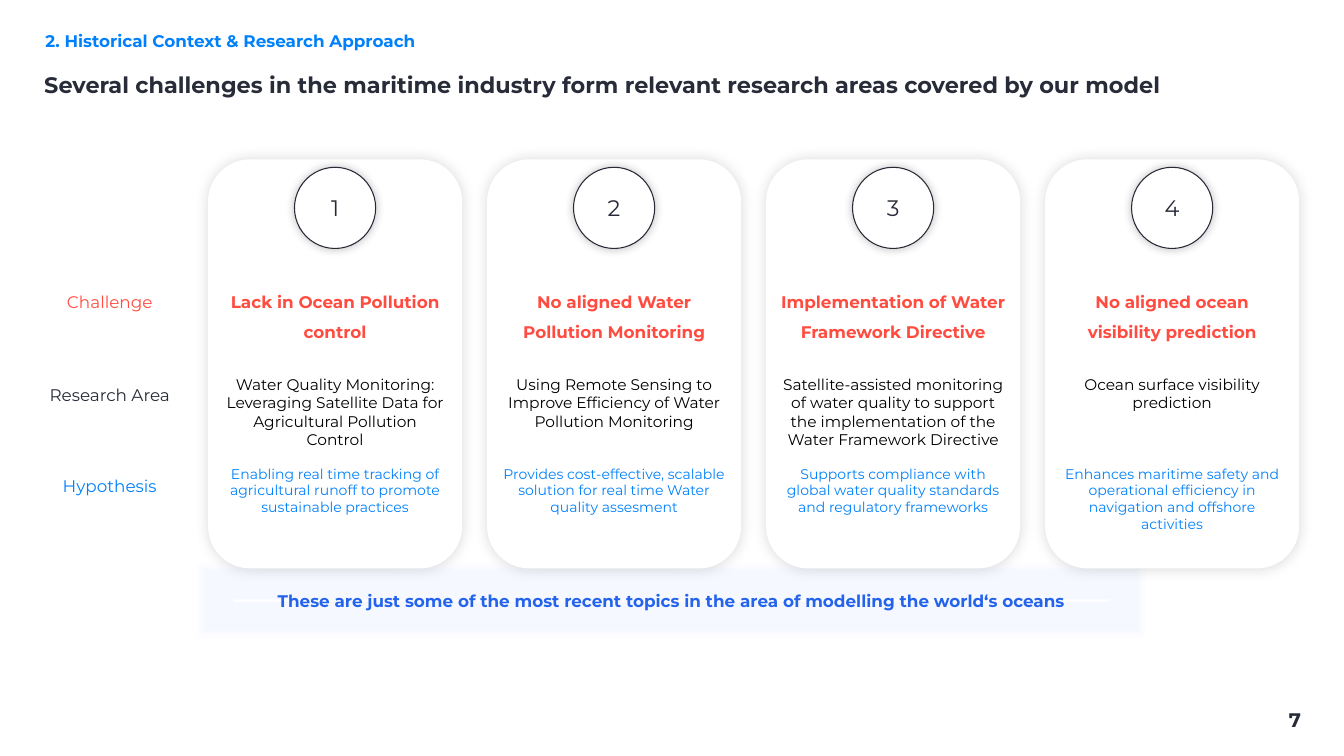
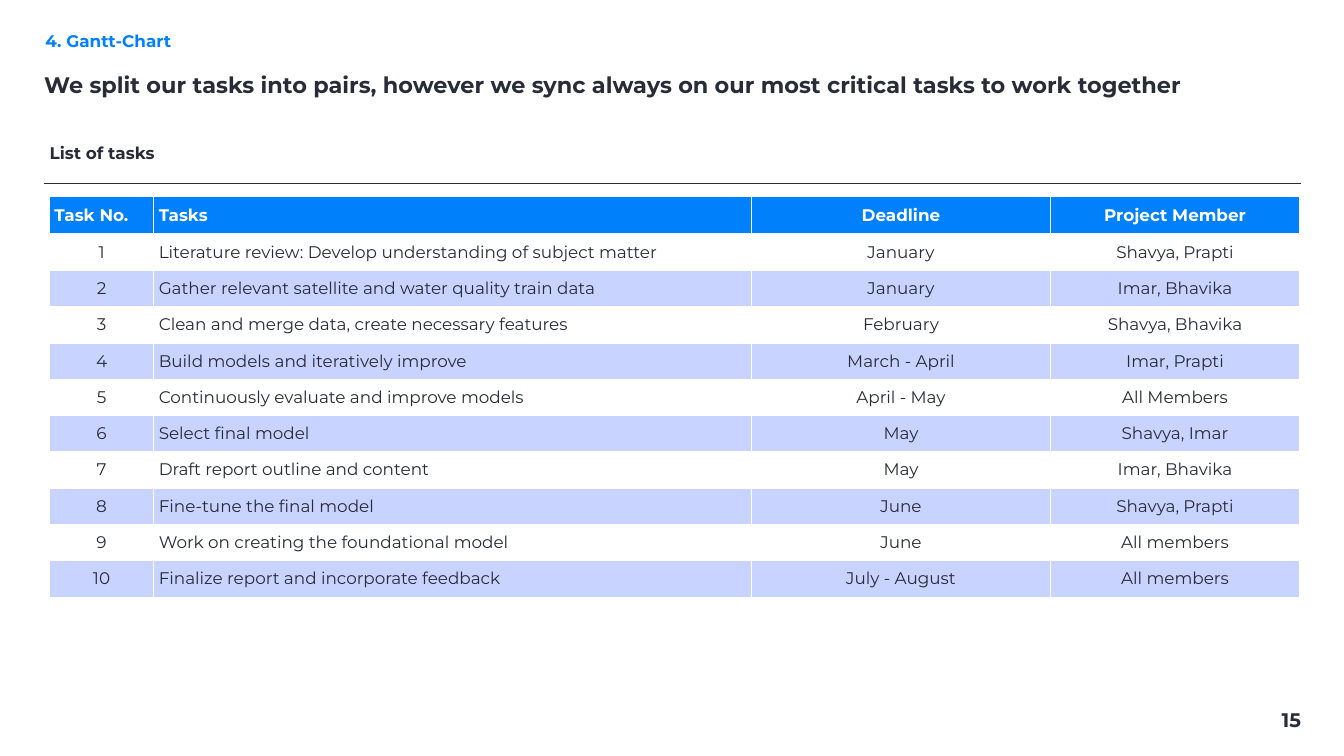
import pptx
import pptx.dml.color
import pptx.enum.shapes
import pptx.enum.text
import pptx.oxml
import pptx.oxml.ns
import pptx.util

Pt = pptx.util.Pt
Align = pptx.enum.text.PP_ALIGN
Anchor = pptx.enum.text.MSO_ANCHOR
AutoSize = pptx.enum.text.MSO_AUTO_SIZE
Shape = pptx.enum.shapes.MSO_SHAPE
qn = pptx.oxml.ns.qn

FONT = "Montserrat"
LINE_HEIGHT = 1.22
COLORS = {
    "title": "282C38",
    "ink": "282B37",
    "rule": "272A36",
    "black": "000000",
    "white": "FFFFFF",
    "blue": "0081FB",
    "red": "FF4C41",
    "banner_text": "2463EC",
    "banner": "F5F8FF",
    "stripe": "C8D4FF",
}
ROW_OFFSETS = {"Challenge": 174.5, "Research Area": 308, "Hypothesis": 437}
ROW_COLORS = {"Challenge": "red", "Research Area": "ink", "Hypothesis": "blue"}

CARDS = [
    {
        "challenge": "Lack in Ocean Pollution control",
        "area": ("Water Quality Monitoring: Leveraging Satellite Data for Agricultural Pollution Control", 4),
        "hypothesis": ("Enabling real time tracking of agricultural runoff to promote sustainable practices", 4),
        "inset": 23,
    },
    {
        "challenge": "No aligned Water Pollution Monitoring",
        "area": ("Using Remote Sensing to Improve Efficiency of Water Pollution Monitoring", 3),
        "hypothesis": ("Provides cost-effective, scalable solution for real time Water quality assesment", 3),
        "inset": 23,
    },
    {
        "challenge": "Implementation of Water Framework Directive",
        "area": ("Satellite-assisted monitoring of water quality to support the implementation of the "
                 "Water Framework Directive", 4),
        "hypothesis": ("Supports compliance with global water quality standards and regulatory frameworks", 3),
        "inset": 0,
    },
    {
        "challenge": "No aligned ocean visibility prediction",
        "area": ("Ocean surface visibility prediction", 2),
        "hypothesis": ("Enhances maritime safety and operational efficiency in navigation and offshore activities", 4),
        "inset": 23,
    },
]

TASK_HEADER = ("Task No.", "Tasks", "Deadline", "Project Member")
TASKS = [
    ("Literature review: Develop understanding of subject matter", "January", "Shavya, Prapti"),
    ("Gather relevant satellite and water quality train data", "January", "Imar, Bhavika"),
    ("Clean and merge data, create necessary features", "February", "Shavya, Bhavika"),
    ("Build models and iteratively improve", "March - April", "Imar, Prapti"),
    ("Continuously evaluate and improve models", "April - May", "All Members"),
    ("Select final model", "May", "Shavya, Imar"),
    ("Draft report outline and content", "May", "Imar, Bhavika"),
    ("Fine-tune the final model", "June", "Shavya, Prapti"),
    ("Work on creating the foundational model", "June", "All members"),
    ("Finalize report and incorporate feedback", "July - August", "All members"),
]


def rgb(name):
    return pptx.dml.color.RGBColor.from_string(COLORS[name])


def make_element(xml):
    return pptx.oxml.parse_xml(xml.replace(" ", f" {pptx.oxml.ns.nsdecls('a')} ", 1))


def write_text(frame, text, size=24, color="ink", bold=False, align=Align.LEFT, spacing=None):
    paragraph = frame.paragraphs[0]
    paragraph.alignment = align
    if spacing:
        paragraph.line_spacing = spacing
    run = paragraph.add_run()
    run.text = text
    run.font.name = FONT
    run.font.size = Pt(size)
    run.font.bold = bold
    run.font.color.rgb = rgb(color)


def format_frame(frame, margins=(7.2, 3.6), anchor=Anchor.TOP, grow=False):
    frame.word_wrap = True
    frame.auto_size = AutoSize.SHAPE_TO_FIT_TEXT if grow else AutoSize.NONE
    frame.vertical_anchor = anchor
    frame.margin_left = frame.margin_right = Pt(margins[0])
    frame.margin_top = frame.margin_bottom = Pt(margins[1])


def add_text(shapes, box, text, margins=(7.2, 3.6), anchor=Anchor.TOP, grow=False, **text_format):
    text_box = shapes.add_textbox(*map(Pt, box))
    format_frame(text_box.text_frame, margins, anchor, grow)
    write_text(text_box.text_frame, text, **text_format)
    return text_box


def add_label(shapes, box, text, **text_format):
    add_text(shapes, box, text, margins=(0, 0), grow=True, align=Align.CENTER, **text_format)


def add_glowing_shape(shapes, kind, box, opacity, blur, line=None):
    shape = shapes.add_shape(kind, *map(Pt, box))
    shape.fill.solid()
    shape.fill.fore_color.rgb = rgb("white")
    if line:
        shape.line.color.rgb = rgb(line)
        shape.line.width = Pt(1.5)
    else:
        shape.line.fill.background()
    shape.shadow.inherit = False
    shape._element.spPr.find(qn("a:effectLst")).append(make_element(
        f'<a:outerShdw blurRad="{Pt(blur)}" dist="0" dir="0" algn="ctr" rotWithShape="0">'
        f'<a:srgbClr val="{COLORS["black"]}"><a:alpha val="{opacity * 1000}"/></a:srgbClr></a:outerShdw>'))
    return shape


def add_frame(presentation, section, title, number):
    slide = presentation.slides.add_slide(presentation.slide_layouts[5])
    heading = slide.shapes.title
    heading.left, heading.top, heading.width, heading.height = map(Pt, (56, 86.5, 1805, 69))
    format_frame(heading.text_frame, anchor=Anchor.MIDDLE)
    write_text(heading.text_frame, title, size=32, color="title", bold=True)
    add_text(slide.shapes, (53.3, 35.3, 1805, 41), section, margins=(11.5, 3.6), anchor=Anchor.MIDDLE,
             color="blue", bold=True, spacing=1.2)
    add_text(slide.shapes, (1723.7, 1007.3, 142, 41), str(number),
             size=28, color="title", bold=True, align=Align.RIGHT)
    return slide


def add_banner(slide, box, text):
    left, top, width, height = box
    turned_box = (left + (width - height) / 2, top + (height - width) / 2, height, width)
    group = slide.shapes.add_group_shape()
    band = group.shapes.add_shape(Shape.ROUNDED_RECTANGLE, *map(Pt, turned_box))
    band.rotation = 90
    band.adjustments[0] = 0.045
    band.line.fill.background()
    band.shadow.inherit = False
    band.fill.gradient()
    stops = "".join(
        f'<a:gs pos="{position * 1000}"><a:srgbClr val="{COLORS[color]}"/></a:gs>'
        for position, color in ((1, "white"), (5, "banner"), (70, "banner"), (100, "white")))
    properties = band._element.spPr
    properties.replace(properties.find(qn("a:gradFill")), make_element(
        f'<a:gradFill rotWithShape="1"><a:gsLst>{stops}</a:gsLst><a:path path="shape">'
        '<a:fillToRect l="50000" t="50000" r="50000" b="50000"/></a:path></a:gradFill>'))
    add_text(group.shapes, (left - 61, top + 38.8, 1482, 36), text, grow=True,
             color="banner_text", bold=True, align=Align.CENTER)


def add_card(slide, box, number, card):
    left, top, width, height = box
    shapes = slide.shapes.add_group_shape().shapes
    add_glowing_shape(shapes, Shape.ROUNDED_RECTANGLE, box, opacity=14, blur=21)
    diameter = 116
    circle = add_glowing_shape(shapes, Shape.OVAL,
                               (left + (width - diameter) / 2, top + 11.5, diameter, diameter),
                               opacity=24, blur=13.1, line="ink")
    format_frame(circle.text_frame, anchor=Anchor.MIDDLE)
    write_text(circle.text_frame, str(number), size=32, align=Align.CENTER)

    inset = card["inset"]
    add_label(shapes, (left + inset, top + ROW_OFFSETS["Challenge"], width - 2 * inset, 87),
              card["challenge"], color="red", bold=True, spacing=1.5)
    details = (("Research Area", card["area"], 22, "black"), ("Hypothesis", card["hypothesis"], 20, "blue"))
    for row, (text, lines), size, color in details:
        add_label(shapes, (left + 23, top + ROW_OFFSETS[row], width - 46, lines * size * LINE_HEIGHT),
                  text, size=size, color=color)


def add_row_labels(slide, left, top, width):
    for row, offset in ROW_OFFSETS.items():
        add_label(slide.shapes, (left, top + offset, width, 44), row, color=ROW_COLORS[row], spacing=1.5)


def build_challenges_slide(presentation):
    slide = add_frame(presentation, "2. Historical Context & Research Approach",
                      "Several challenges in the maritime industry form relevant research areas "
                      "covered by our model", 7)
    cards_left, cards_top, pitch = 297.2, 227.5, 398.6
    add_banner(slide, (278.6, 801.4, 1360, 113),
               "These are just some of the most recent topics in the area of modelling the world‘s oceans")
    add_row_labels(slide, 67.7, cards_top, 178)
    for index, card in enumerate(CARDS):
        add_card(slide, (cards_left + index * pitch, cards_top, 363, 584.6), index + 1, card)


def format_cell(cell, text, fill, bottom_border, **text_format):
    properties = cell._tc.get_or_add_tcPr()
    for side, width in (("lnL", 1), ("lnR", 1), ("lnT", 1), ("lnB", bottom_border)):
        properties.append(make_element(
            f'<a:{side} w="{Pt(width)}"><a:solidFill><a:srgbClr val="{COLORS["white"]}"/>'
            f'</a:solidFill></a:{side}>'))
    cell.fill.solid()
    cell.fill.fore_color.rgb = rgb(fill)
    cell.vertical_anchor = Anchor.MIDDLE
    write_text(cell.text_frame, text, **text_format)


def add_task_table(slide, left, top):
    widths = (149, 854, 427, 356)
    header_height, row_height = 54.7, 51.8
    rows = [TASK_HEADER] + [(str(number), *task) for number, task in enumerate(TASKS, 1)]
    table = slide.shapes.add_table(len(rows), len(widths), Pt(left), Pt(top), Pt(sum(widths)),
                                   Pt(header_height + row_height * len(TASKS))).table
    table.horz_banding = False
    for column, width in zip(table.columns, widths):
        column.width = Pt(width)
    for row_index, row in enumerate(rows):
        is_header = row_index == 0
        table.rows[row_index].height = Pt(header_height if is_header else row_height)
        fill = "blue" if is_header else "white" if row_index % 2 else "stripe"
        for column_index, text in enumerate(row):
            is_left = column_index == 1 or (is_header and column_index == 0)
            format_cell(table.cell(row_index, column_index), text, fill, 3 if is_header else 1,
                        color="white" if is_header else "ink", bold=is_header,
                        align=Align.LEFT if is_left else Align.CENTER)


def add_rule(slide, left, top, width):
    rule = slide.shapes.add_connector(pptx.enum.shapes.MSO_CONNECTOR.STRAIGHT,
                                      Pt(left), Pt(top), Pt(left + width), Pt(top))
    rule.line.color.rgb = rgb("rule")
    rule.line.width = Pt(1.5)
    rule._element.spPr.append(make_element("<a:effectLst />"))


def build_tasks_slide(presentation):
    slide = add_frame(presentation, "4. Gantt-Chart",
                      "We split our tasks into pairs, however we sync always on our most critical "
                      "tasks to work together", 15)
    add_text(slide.shapes, (64, 183.6, 1800, 69), "List of tasks", anchor=Anchor.MIDDLE, bold=True)
    add_task_table(slide, 70.6, 280)
    add_rule(slide, 62.6, 262, 1795.7)


def main():
    presentation = pptx.Presentation()
    presentation.slide_width = Pt(1920)
    presentation.slide_height = Pt(1080)
    build_challenges_slide(presentation)
    build_tasks_slide(presentation)
    presentation.save("out.pptx")


if __name__ == "__main__":
    main()
